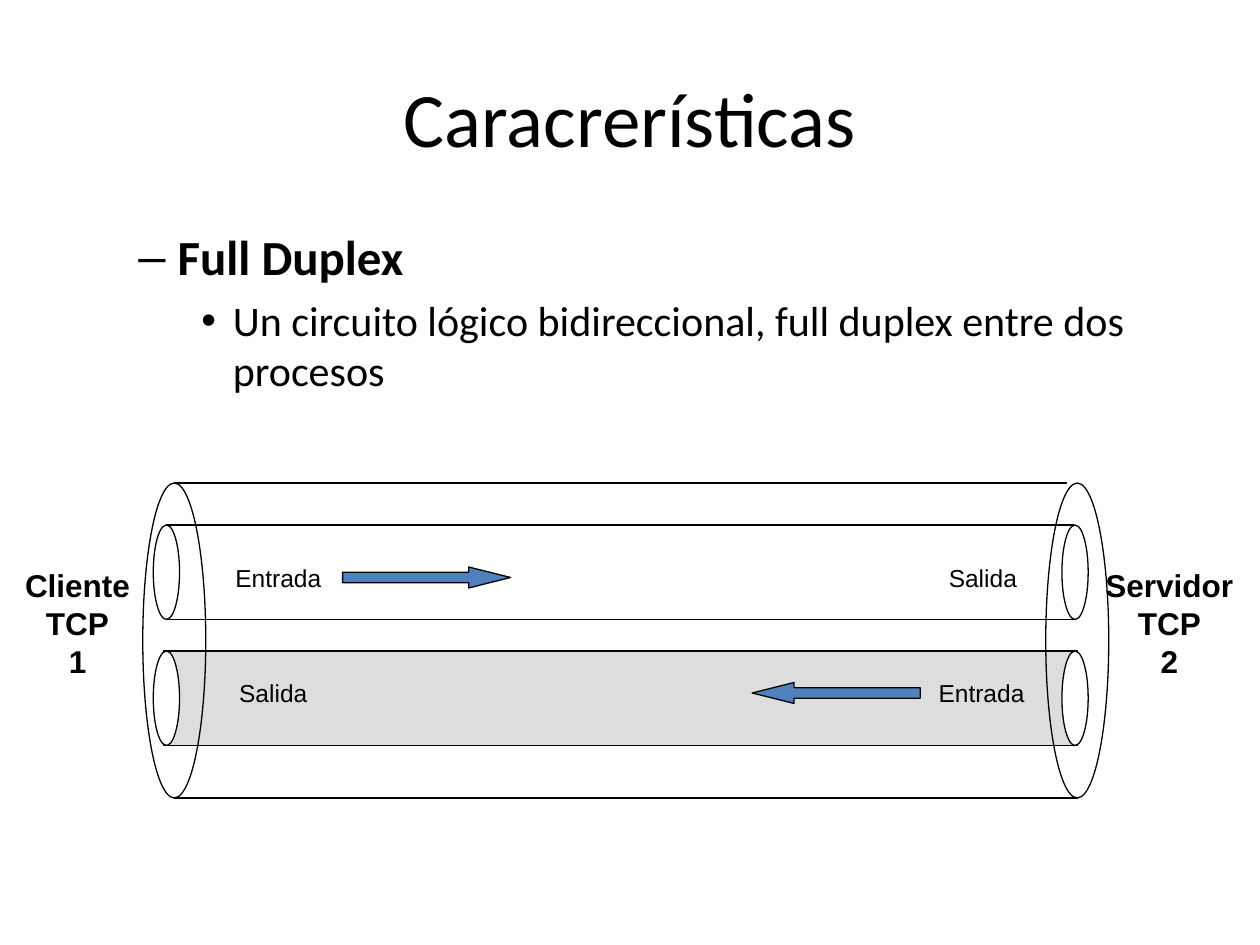
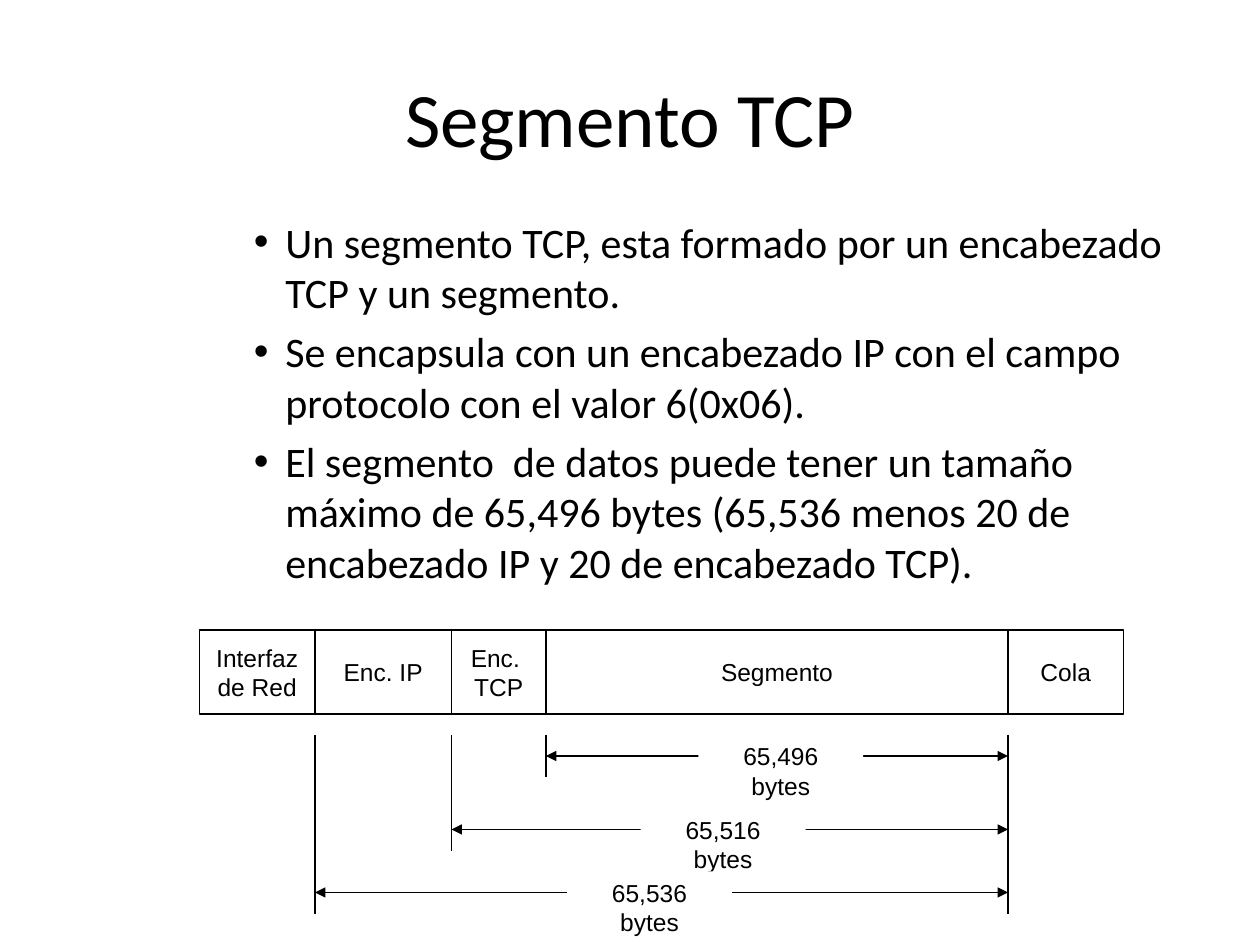
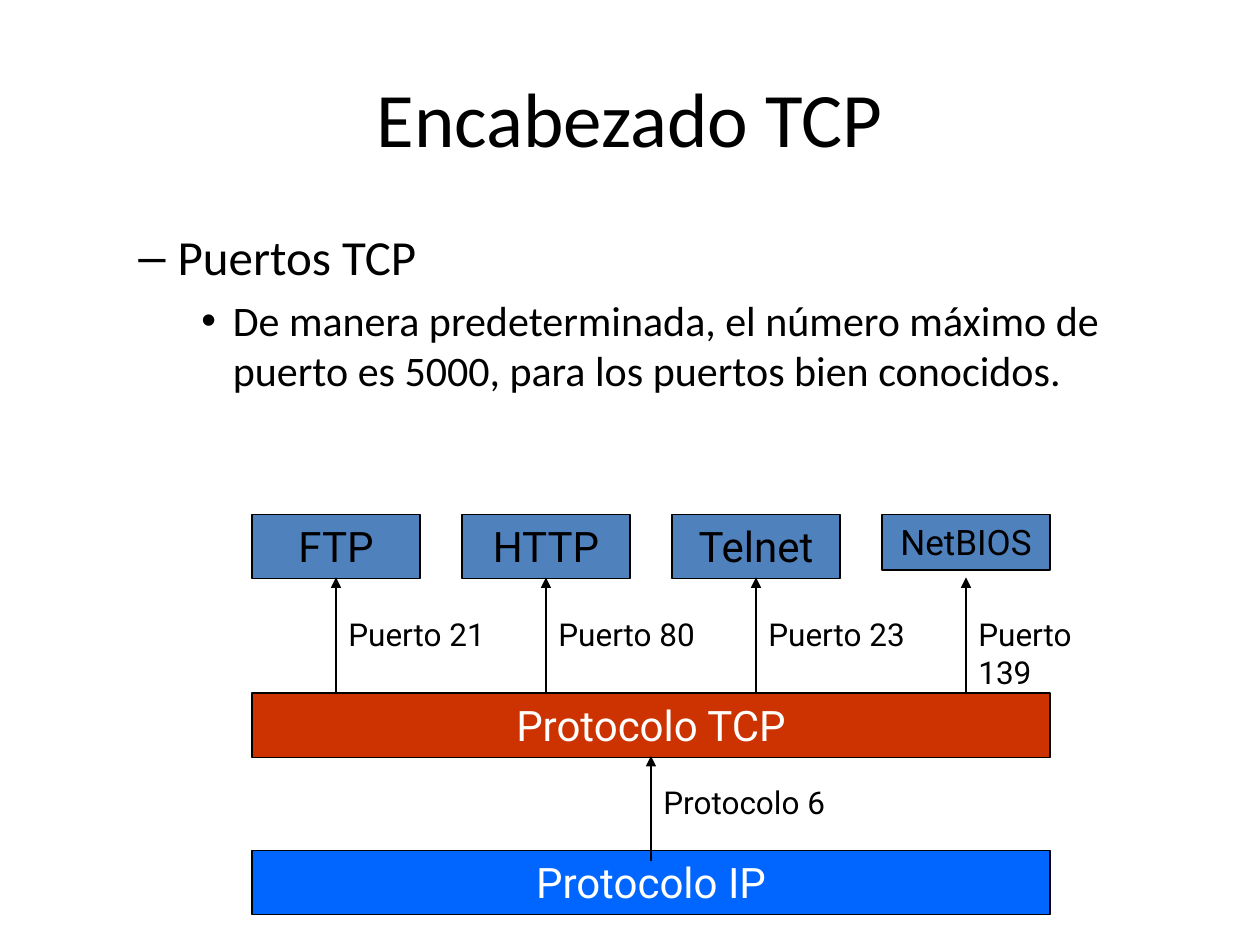
"""Build three slides on TCP: duplex circuit, segment layout and ports."""
from dataclasses import dataclass
from itertools import accumulate, pairwise
from typing import Optional

from pptx import Presentation
from pptx.dml.color import RGBColor
from pptx.enum import shapes, text
from pptx.oxml import ns, xmlchemy
from pptx.util import Pt

BLACK, WHITE, GREY = "000000", "FFFFFF", "DDDDDD"
BLUE, RED, BRIGHT_BLUE = "4F81BD", "CC3300", "0066FF"
SHAPE = shapes.MSO_SHAPE
ANCHOR = text.MSO_ANCHOR
ALIGN = text.PP_ALIGN


@dataclass(frozen=True)
class Style:
    """Format of the text in a box."""
    font: str = "Arial"
    size: float = 14
    color: str = BLACK
    bold: bool = False
    align: ALIGN = ALIGN.CENTER
    anchor: ANCHOR = ANCHOR.TOP
    wrap: bool = False
    grow: bool = True


@dataclass(frozen=True)
class Level:
    """Format of one outline level in a body."""
    depth: int
    bullet: str
    margin: float
    indent: float
    size: float


@dataclass(frozen=True)
class Item:
    """One bulleted paragraph."""
    level: Level
    text: str
    bold: bool = False


@dataclass(frozen=True)
class Box:
    """Position and size in points."""
    x: float
    y: float
    w: float
    h: float


@dataclass(frozen=True)
class Span:
    """Dimension arrow with its label."""
    start: float
    y: float
    label_x: float
    label: str


DASH = Level(1, "\u2013", 58.5, -22.5, 28)
DOT = Level(2, "\u2022", 90, -18, 24)
TITLE = Style("Calibri", 44, anchor=ANCHOR.MIDDLE, wrap=True, grow=False)
LABEL = Style()
FIELD = Style(anchor=ANCHOR.MIDDLE, grow=False)
SPAN = Style(wrap=True)
HOST = Style(size=18, bold=True)
APP = Style("Roboto", 24, wrap=True)
SMALL_APP = Style("Roboto", 20, wrap=True)
BAR = Style("Roboto", 24, WHITE, wrap=True)
PORT = Style("Roboto", 18, align=ALIGN.LEFT, wrap=True)
BODY = Box(36, 126, 648, 356)


def rgb(color: str) -> RGBColor:
    """Return the colour for a hex string."""
    return RGBColor.from_string(color)


def assign(target, values: dict) -> None:
    """Set attributes from a dict."""
    for name, value in values.items():
        setattr(target, name, value)


def place(sp, box: Box) -> None:
    """Move and size a shape."""
    assign(sp, {"left": Pt(box.x), "top": Pt(box.y), "width": Pt(box.w), "height": Pt(box.h)})


def add_node(parent, tag: str, **attrs: str):
    """Append an XML element with attributes."""
    node = xmlchemy.OxmlElement(tag)
    for name, value in attrs.items():
        node.set(name, value)
    parent.append(node)
    return node


def add_run(p, words: str, font: str, size: float, color: str, bold: bool) -> None:
    """Add a formatted run to a paragraph."""
    r = p.add_run()
    r.text = words
    assign(r.font, {"name": font, "size": Pt(size), "bold": bold})
    r.font.color.rgb = rgb(color)


def write(sp, words: str, style: Style) -> None:
    """Write lines of text into a shape."""
    tf = sp.text_frame
    fit = text.MSO_AUTO_SIZE.SHAPE_TO_FIT_TEXT if style.grow else text.MSO_AUTO_SIZE.NONE
    assign(tf, {"word_wrap": style.wrap, "vertical_anchor": style.anchor, "auto_size": fit})
    for i, line in enumerate(words.split("\n")):
        p = tf.add_paragraph() if i else tf.paragraphs[0]
        p.alignment = style.align
        add_run(p, line, style.font, style.size, style.color, style.bold)


def add_label(s, box: Box, words: str, style: Style = LABEL) -> None:
    """Add a text box."""
    sp = s.shapes.add_textbox(Pt(box.x), Pt(box.y), Pt(box.w), Pt(box.h))
    write(sp, words, style)


def add_figure(s, kind, box: Box, fill: Optional[str] = None, line: Optional[str] = BLACK,
               words: str = "", style: Style = FIELD):
    """Add a preset shape with optional text."""
    sp = s.shapes.add_shape(kind, Pt(box.x), Pt(box.y), Pt(box.w), Pt(box.h))
    sp.shadow.inherit = False
    if fill:
        sp.fill.solid()
        sp.fill.fore_color.rgb = rgb(fill)
    else:
        sp.fill.background()
    if line:
        sp.line.color.rgb = rgb(line)
        sp.line.width = Pt(0.75)
    else:
        sp.line.fill.background()
    if words:
        write(sp, words, style)
    return sp


def add_line(s, x1: float, y1: float, x2: float, y2: float,
             head: bool = False, tail: bool = False) -> None:
    """Add a thin black line with optional arrowheads."""
    c = s.shapes.add_connector(shapes.MSO_CONNECTOR.STRAIGHT, Pt(x1), Pt(y1), Pt(x2), Pt(y2))
    c.line.color.rgb = rgb(BLACK)
    c.line.width = Pt(0.75)
    pr = c._element.spPr
    ln = pr.find(ns.qn("a:ln"))
    for wanted, tag in ((head, "a:headEnd"), (tail, "a:tailEnd")):
        if wanted:
            add_node(ln, tag, type="triangle")
    add_node(pr, "a:effectLst")


def add_body(s, box: Box, items: list[Item]) -> None:
    """Add a bulleted outline."""
    sp = s.shapes.add_textbox(Pt(box.x), Pt(box.y), Pt(box.w), Pt(box.h))
    tf = sp.text_frame
    tf.word_wrap = True
    for i, item in enumerate(items):
        level = item.level
        p = tf.add_paragraph() if i else tf.paragraphs[0]
        assign(p, {"level": level.depth, "alignment": ALIGN.LEFT,
                   "space_before": Pt(0.21 * level.size if i else 0)})
        pr = p._p.get_or_add_pPr()
        pr.set("marL", str(Pt(level.margin)))
        pr.set("indent", str(Pt(level.indent)))
        add_node(pr, "a:buFont", typeface="Arial")
        add_node(pr, "a:buChar", char=level.bullet)
        add_run(p, item.text, "Calibri", level.size, BLACK, item.bold)


def add_slide(prs, title: str, box: Box, items: list[Item]):
    """Add a slide with a title and a body."""
    s = prs.slides.add_slide(prs.slide_layouts[5])
    place(s.shapes.title, Box(36, 21.6, 648, 90))
    write(s.shapes.title, title, TITLE)
    add_body(s, box, items)
    return s


def build_duplex(prs) -> None:
    """Draw the full duplex circuit."""
    s = add_slide(prs, "Caracrerísticas", BODY, [
        Item(DASH, "Full Duplex", True),
        Item(DOT, "Un circuito lógico bidireccional, full duplex entre dos procesos")])
    channels, height = (300, 372), 54
    add_figure(s, SHAPE.RECTANGLE, Box(93.6, channels[1], 522, height), GREY)
    for x in (87.6, 606.8):
        for y in channels:
            add_figure(s, SHAPE.OVAL, Box(x, y, 15, height), WHITE)
    for y in channels:
        for edge in (y, y + height):
            add_line(s, 95, edge, 614, edge)
    add_label(s, Box(6.8, 320, 75, 72), "Cliente\nTCP\n1", HOST)
    add_label(s, Box(624, 320, 88.5, 72), "Servidor\nTCP\n2", HOST)
    for words, x, y, w in (("Entrada", 126.6, 318, 65), ("Entrada", 528.4, 384, 65),
                           ("Salida", 534.2, 318, 55), ("Salida", 128.7, 384, 55)):
        add_label(s, Box(x, y, w, 24), words)
    for kind, x, y in ((SHAPE.RIGHT_ARROW, 195.8, 324), (SHAPE.LEFT_ARROW, 429.8, 390)):
        arrow = add_figure(s, kind, Box(x, y, 96, 12), BLUE)
        arrow.adjustments[0], arrow.adjustments[1] = 0.5, 2
    for x in (81.6, 597.6):
        add_figure(s, SHAPE.OVAL, Box(x, 276, 36, 180))
    for y, end in ((276, 610), (456, 616)):
        add_line(s, 99.5, y, end, y)


def build_segment(prs) -> None:
    """Draw the segment fields and their lengths."""
    s = add_slide(prs, "Segmento TCP", Box(66, 120, 612, 324), [
        Item(DOT, "Un segmento TCP, esta formado por un encabezado TCP y un segmento."),
        Item(DOT, "Se encapsula con un encabezado IP con el campo protocolo con el valor 6(0x06)."),
        Item(DOT, "El segmento  de datos puede tener un tamaño máximo de 65,496 bytes "
                  "(65,536 menos 20 de encabezado IP y 20 de encabezado TCP).")])
    fields = {"Interfaz\nde Red": 66, "Enc. IP": 78, "Enc. \nTCP": 54, "Segmento": 264, "Cola": 66}
    edges = list(accumulate(fields.values(), initial=114))
    for words, (left, right) in zip(fields, pairwise(edges)):
        add_figure(s, SHAPE.RECTANGLE, Box(left, 360, right - left, 48), WHITE, words=words)
    _, ip, tcp, data, end, _ = edges
    for x, bottom in ((data, 444), (tcp, 486), (ip, 522), (end, 486), (end, 522)):
        add_line(s, x, 420, x, bottom)
    for span in (Span(data, 432, 399, "65,496 bytes"), Span(tcp, 474, 366, "65,516 bytes"),
                 Span(ip, 510, 324, "65,536 bytes")):
        add_line(s, span.start, span.y, end, span.y, head=True, tail=True)
        add_figure(s, SHAPE.RECTANGLE, Box(span.label_x, span.y - 12, 94.3, 24), WHITE, None,
                   span.label, SPAN)


def build_ports(prs) -> None:
    """Draw the protocol stack with its ports."""
    s = add_slide(prs, "Encabezado TCP", BODY, [
        Item(DASH, "Puertos TCP"),
        Item(DOT, "De manera predeterminada, el número máximo de puerto es 5000, "
                  "para los puertos bien conocidos.")])
    for words, y, fill in (("Protocolo IP", 486, BRIGHT_BLUE), ("Protocolo TCP", 396, RED)):
        add_figure(s, SHAPE.RECTANGLE, Box(144, y, 456, 36.7), fill, words=words, style=BAR)
    apps = (("FTP", 21, APP, 36.7), ("HTTP", 80, APP, 36.7),
            ("Telnet", 23, APP, 36.7), ("NetBIOS", 139, SMALL_APP, 31.7))
    for i, (name, port, style, height) in enumerate(apps):
        x = 144 + 120 * i
        add_figure(s, SHAPE.RECTANGLE, Box(x, 294, 96, height), BLUE, words=name, style=style)
        add_line(s, x + 48, 396, x + 48, 330, tail=True)
        add_label(s, Box(x + 48, 348, 102, 29), f"Puerto {port}", PORT)
    add_line(s, 372, 492, 372, 432, tail=True)
    add_label(s, Box(372, 444, 132, 29), "Protocolo 6", PORT)


def main() -> None:
    """Build and save the presentation."""
    prs = Presentation()
    assign(prs, {"slide_width": Pt(720), "slide_height": Pt(540)})
    for build in (build_duplex, build_segment, build_ports):
        build(prs)
    prs.save("out.pptx")


main()
